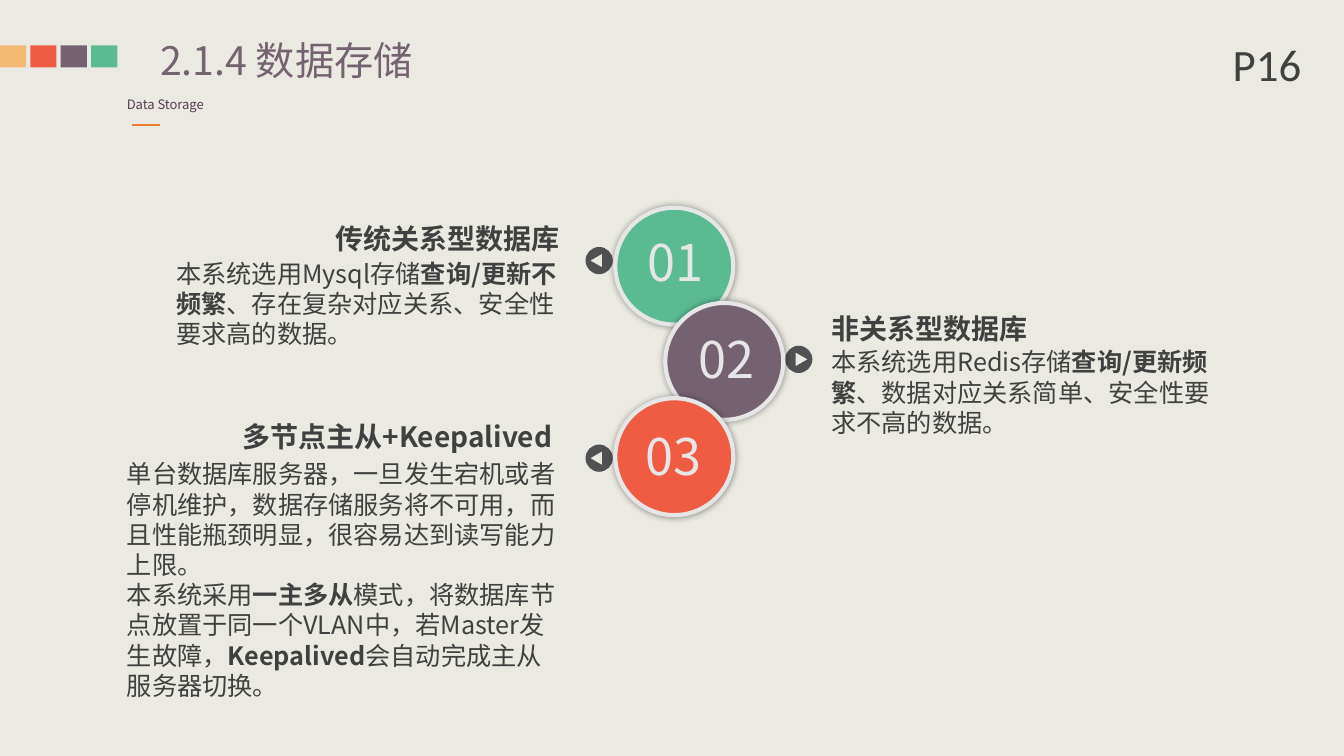
from lxml.etree import SubElement
from pptx import Presentation
from pptx.dml.color import RGBColor
from pptx.enum.shapes import MSO_CONNECTOR as Connector, MSO_SHAPE as Preset
from pptx.enum.text import MSO_AUTO_SIZE as AutoSize, PP_ALIGN as Align
from pptx.oxml.ns import qn
from pptx.util import Inches, Pt

THEME = {
    "paper": RGBColor.from_string("EBEAE2"),
    "sand": RGBColor.from_string("F2B973"),
    "coral": RGBColor.from_string("EF5B43"),
    "plum": RGBColor.from_string("756271"),
    "green": RGBColor.from_string("5ABB93"),
    "accent": RGBColor.from_string("ED7D31"),
    "subtitle": RGBColor.from_string("543C4F"),
    "badge": RGBColor.from_string("505153"),
    "ring": RGBColor.from_string("E7E6E6"),
    "ink": RGBColor.from_string("404040"),
    "cjk": "Noto Sans CJK SC",
    "latin": "Calibri",
    "title size": 28,
    "subtitle size": 9.3,
    "page size": 32,
    "number size": 36,
    "heading size": 20,
    "body size": 18,
}

deck = Presentation()
deck.slide_width, deck.slide_height = Inches(13.33), Inches(7.5)
page = deck.slides.add_slide(deck.slide_layouts[6])
page.background.fill.solid()
page.background.fill.fore_color.rgb = THEME["paper"]


def area(*shares):
    """Turn x, y, width, height in percent of the slide into lengths."""
    sides = (deck.slide_width, deck.slide_height) * 2
    return [round(side * share / 100) for side, share in zip(sides, shares)]


def write(place, text, size, color="ink", align=Align.LEFT, font="cjk",
          wrap=True, margin=None):
    """Add a text box; one paragraph per line, *asterisks* mark bold words."""
    box = page.shapes.add_textbox(*area(*place))
    frame = box.text_frame
    frame.word_wrap = wrap
    frame.auto_size = AutoSize.SHAPE_TO_FIT_TEXT
    if margin is not None:
        for side in ("left", "top", "right", "bottom"):
            setattr(frame, f"margin_{side}", margin)
    for index, line in enumerate(text.split("\n")):
        para = frame.paragraphs[0] if index == 0 else frame.add_paragraph()
        para.alignment = align
        for order, words in enumerate(line.split("*")):
            if not words:
                continue
            span = para.add_run()
            span.text = words
            look = {"name": THEME[font], "size": Pt(THEME[size]), "bold": order % 2 == 1}
            for key, value in look.items():
                setattr(span.font, key, value)
            span.font.color.rgb = THEME[color]
            SubElement(span.font._element, qn("a:ea"), typeface=THEME[font])


# Header
for index, color in enumerate(("sand", "coral", "plum", "green")):
    square = page.shapes.add_shape(Preset.RECTANGLE, *area(2.26 * index, 6, 1.95, 2.93))
    square.shadow.inherit = False
    square.fill.solid()
    square.fill.fore_color.rgb = THEME[color]
    square.line.fill.background()

write((8.7, 12.13, 7.65, 3.47), "Data Storage", "subtitle size", "subtitle", wrap=False)
write((11.92, 4.8, 29.92, 6.27), "2.1.4 数据存储", "title size", "plum", margin=0)
write((90.98, 4.2, 6.9, 8.53), "P16", "page size", font="latin")

underline = page.shapes.add_connector(
    Connector.STRAIGHT, *area(9.82, 16.53, 11.92, 16.53))
underline.line.color.rgb = THEME["accent"]
underline.line.width = Pt(1.5)
SubElement(underline._element.spPr, qn("a:effectLst"))

# Arrow badges: a disc with a triangular hole; direction -1 points left
radius = Inches(0.135)
quarters = ((1, 0), (0, 1), (-1, 0), (0, -1), (1, 0))
BEND = 0.55  # control point distance that rounds a quarter circle
for index, (left, direction) in enumerate(((43.57, -1), (58.42, 1), (43.57, -1))):
    x, y = area(left, 32.67 + 13.07 * index)
    x, y = x + radius, y + radius
    disc = [(x + radius * dx, y + radius * dy) for dx, dy in quarters]
    hole = [(x + direction * radius * dx, y + radius * dy)
            for dx, dy in ((0.65, 0), (-0.22, 0.5), (-0.22, -0.5))]
    outline = page.shapes.build_freeform(*disc[0])
    outline.add_line_segments(disc[1:])
    outline.move_to(*hole[0])
    outline.add_line_segments(hole[1:])
    badge = outline.convert_to_shape()
    badge.shadow.inherit = False
    badge.fill.solid()
    badge.fill.fore_color.rgb = THEME["badge"]
    badge.line.fill.background()

    # Round the four straight sides of the disc
    sides = list(badge._element.iter(qn("a:lnTo")))[:4]
    for side, (ax, ay), (bx, by) in zip(sides, quarters, quarters[1:]):
        side.tag = qn("a:cubicBezTo")
        side.remove(side[0])
        for dx, dy in ((ax + BEND * bx, ay + BEND * by),
                       (bx + BEND * ax, by + BEND * ay), (bx, by)):
            SubElement(side, qn("a:pt"), x=str(round(radius * (1 + dx))),
                       y=str(round(radius * (1 + dy))))

# Numbered circles
circles = (
    ("green", 45.78, (47.17, 29.87)),
    ("plum", 49.5, (50.92, 42.8)),
    ("coral", 45.78, (47.02, 55.6)),
)
for index, (color, left, label) in enumerate(circles):
    circle = page.shapes.add_shape(
        Preset.OVAL, *area(left, 27.47 + 12.6 * index, 8.78, 15.47))
    circle.fill.solid()
    circle.fill.fore_color.rgb = THEME[color]
    circle.line.color.rgb = THEME["ring"]
    circle.line.width = Pt(3)
    effects = SubElement(circle._element.spPr, qn("a:effectLst"))
    shadow = SubElement(effects, qn("a:outerShdw"), blurRad=str(Pt(5)), dist="0", dir="0")
    black = SubElement(shadow, qn("a:srgbClr"), val="000000")
    SubElement(black, qn("a:alpha"), val="40000")
    write((*label, 6.22, 9.47), f"{index + 1:02}", "number size", "ring", Align.CENTER)

# Descriptions: heading place, alignment and text, then body place and text
topics = (
    ((24, 28.67, 18.38, 5.87), Align.RIGHT, "*传统关系型数据库*",
     (12.38, 33.47, 30.75, 13.47),
     "本系统选用Mysql存储*查询/更新不频繁*、存在复杂对应关系、安全性要求高的数据。"),
    ((61.12, 40.53, 16.5, 5.87), Align.LEFT, "*非关系型数据库*",
     (61.12, 45.2, 30.38, 13.47),
     "本系统选用Redis存储*查询/更新频繁*、数据对应关系简单、安全性要求不高的数据。"),
    ((16.42, 54.8, 25.42, 5.87), Align.RIGHT, "*多节点主从+Keepalived*",
     (8.7, 60, 33.82, 33.6),
     "单台数据库服务器，一旦发生宕机或者停机维护，数据存储服务将不可用，"
     "而且性能瓶颈明显，很容易达到读写能力上限。\n"
     "本系统采用*一主多从*模式，将数据库节点放置于同一个VLAN中，"
     "若Master发生故障，*Keepalived*会自动完成主从服务器切换。"),
)
for heading_place, align, heading, body_place, body in topics:
    write(body_place, body, "body size")
    write(heading_place, heading, "heading size", align=align)

deck.save("out.pptx")
